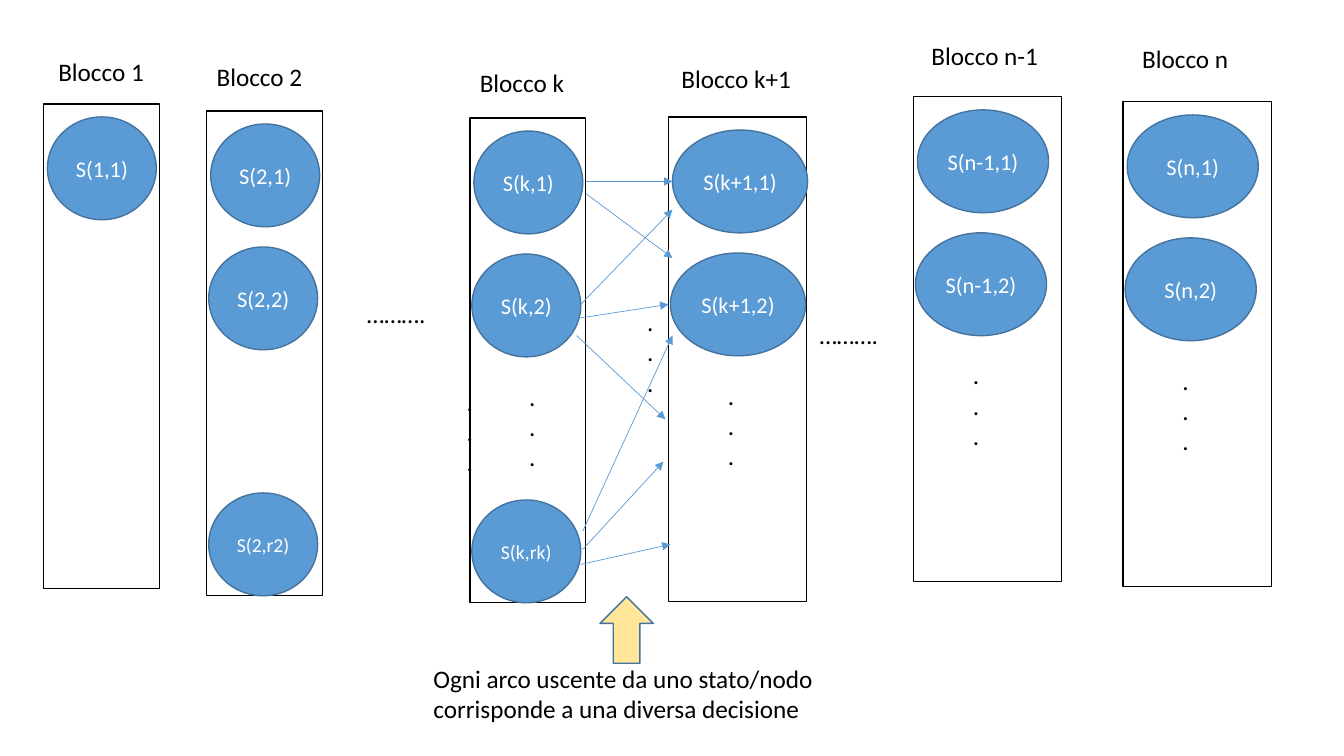
"""Build a slide of state blocks joined by decision arcs."""
from lxml import etree
from pptx import Presentation
from pptx.dml.color import RGBColor
from pptx.enum.shapes import MSO_CONNECTOR, MSO_SHAPE
from pptx.enum.text import MSO_ANCHOR, PP_ALIGN
from pptx.oxml.ns import qn
from pptx.util import Inches, Pt

RECT, OVAL, UP_ARROW = MSO_SHAPE.RECTANGLE, MSO_SHAPE.OVAL, MSO_SHAPE.UP_ARROW
STRAIGHT = MSO_CONNECTOR.STRAIGHT
CENTER, MIDDLE = PP_ALIGN.CENTER, MSO_ANCHOR.MIDDLE
FONT = "Calibri"
COLORS = {"text": "000000", "state": "5B9BD5", "outline": "43739E",
          "state_text": "FFFFFF", "arrow": "FFE699"}
BLOCK_H, STATE_H, STATE_PITCH, STATE_TOP, DOTS_TOP = 4.81, 1.02, 1.22, 0.13, 2.56
DOTS = [".", ".", "."]
ELLIPSIS = ["……….",]

# x, y, width, state width, (title, x, y, width), states by row, dots shown
BLOCKS = [
    (0.43, 1.03, 1.15, 1.08, ("Blocco 1", 0.48, 0.51, 1.06),
     {0: "S(1,1)"}, False),
    (2.05, 1.1, 1.15, 1.08, ("Blocco 2", 2.05, 0.56, 1.06),
     {0: "S(2,1)", 1: "S(2,2)", 3: "S(2,r2)"}, False),
    (4.66, 1.17, 1.15, 1.08, ("Blocco k", 4.66, 0.62, 1.05),
     {0: "S(k,1)", 1: "S(k,2)", 3: "S(k,rk)"}, True),
    (6.63, 1.16, 1.37, 1.34, ("Blocco k+1", 6.66, 0.58, 1.3),
     {0: "S(k+1,1)", 1: "S(k+1,2)"}, True),
    (9.06, 0.96, 1.47, 1.3, ("Blocco n-1", 9.14, 0.35, 1.27),
     {0: "S(n-1,1)", 1: "S(n-1,2)"}, True),
    (11.14, 1.01, 1.47, 1.3, ("Blocco n", 11.23, 0.38, 1.07),
     {0: "S(n,1)", 1: "S(n,2)"}, True),
]
ARCS = [
    (5.81, 1.8, 6.67, 1.8), (5.81, 1.92, 6.67, 2.56),
    (5.76, 3.02, 6.67, 2.08), (5.72, 3.16, 6.63, 3.02), (5.72, 3.33, 6.6, 4.16),
    (5.78, 5.27, 6.67, 3.33), (5.78, 5.45, 6.58, 4.58), (5.76, 5.6, 6.65, 5.4),
]


def rgb(name):
    """Return the named colour."""
    return RGBColor.from_string(COLORS[name])


def style_paragraph(p, text, size, color):
    """Write one paragraph in the slide font."""
    p.text = text
    p.font.name, p.font.size = FONT, Pt(size)
    p.font.color.rgb = rgb(color)


def add_text(s, lines, x, y, w, h, wrap=False):
    """Add a text box with one paragraph per line."""
    tf = s.shapes.add_textbox(Inches(x), Inches(y), Inches(w), Inches(h)).text_frame
    tf.word_wrap = wrap
    for i, line in enumerate(lines):
        p = tf.add_paragraph() if i else tf.paragraphs[0]
        style_paragraph(p, line, 18, "text")


def add_figure(s, kind, x, y, w, h, line, fill=None):
    """Add an outlined preset shape, unfilled unless a fill is named."""
    sp = s.shapes.add_shape(kind, Inches(x), Inches(y), Inches(w), Inches(h))
    sp.shadow.inherit = False
    if fill:
        sp.fill.solid()
        sp.fill.fore_color.rgb = rgb(fill)
    else:
        sp.fill.background()
    sp.line.color.rgb = rgb(line)
    sp.line.width = Pt(1)
    return sp


def add_state(s, label, row, x, y, w):
    """Add a labelled state ellipse, smaller in type on the last row."""
    sp = add_figure(s, OVAL, x, y, w, STATE_H, "outline", "state")
    tf = sp.text_frame
    tf.word_wrap, tf.vertical_anchor = True, MIDDLE
    p = tf.paragraphs[0]
    p.alignment = CENTER
    style_paragraph(p, label, 14 if row == 3 else 16, "state_text")


def add_block(s, x, y, w, state_w, title, states, dots):
    """Add a block with its title, its states and its dots."""
    add_figure(s, RECT, x, y, w, BLOCK_H, "text")
    name, title_x, title_y, title_w = title
    add_text(s, [name], title_x, title_y, title_w, 0.4)
    for row, label in states.items():
        inset = 0.02 if row else 0.04
        add_state(s, label, row, x + inset, y + STATE_TOP + row * STATE_PITCH, state_w)
    if dots:
        add_text(s, DOTS, x + 0.49, y + DOTS_TOP, 0.23, 1.01, wrap=True)


def add_arc(s, x1, y1, x2, y2):
    """Add a thin arrow between two points."""
    c = s.shapes.add_connector(STRAIGHT, Inches(x1), Inches(y1), Inches(x2), Inches(y2))
    c.line.color.rgb = rgb("state")
    c.line.width = Pt(0.5)
    etree.SubElement(c.line._get_or_add_ln(), qn("a:tailEnd"), type="triangle")
    etree.SubElement(c._element.spPr, qn("a:effectLst"))


def add_caption(s, x, y):
    """Add the explanation of the arcs under its arrow."""
    add_figure(s, UP_ARROW, x + 1.75, y - 0.61, 0.53, 0.66, "outline", "arrow")
    add_text(s, ["Ogni arco uscente da uno stato/nodo",
                 "corrisponde a una diversa decisione"], x, y, 4.01, 0.71)


def main():
    """Build and save the slide."""
    prs = Presentation()
    prs.slide_width, prs.slide_height = Inches(13.33), Inches(7.5)
    s = prs.slides.add_slide(prs.slide_layouts[6])
    for block in BLOCKS:
        add_block(s, *block)
    for arc in ARCS:
        add_arc(s, *arc)
    for x, y in ((3.54, 2.91), (8.03, 3.12)):
        add_text(s, ELLIPSIS, x, y, 0.79, 0.4)
    add_text(s, DOTS, 4.53, 3.78, 0.23, 1.01, wrap=True)
    add_text(s, DOTS, 6.32, 2.99, 0.27, 1.01)
    add_caption(s, 4.2, 6.53)
    prs.save("out.pptx")


if __name__ == "__main__":
    main()
